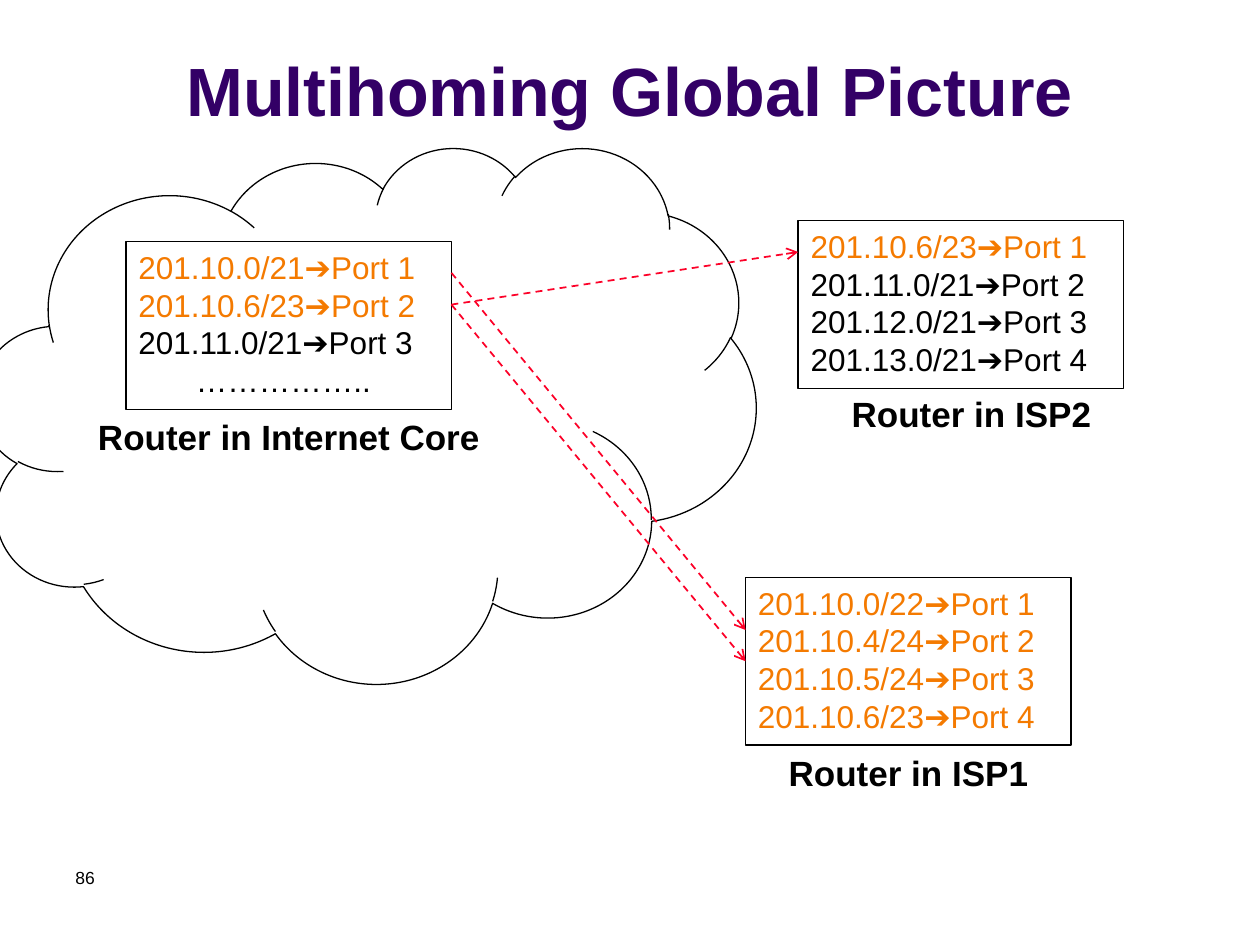
from typing import NamedTuple

from lxml.etree import SubElement
from pptx import Presentation
from pptx.dml.color import RGBColor
from pptx.enum.dml import MSO_LINE
from pptx.enum.shapes import MSO_CONNECTOR, MSO_SHAPE
from pptx.enum.text import MSO_ANCHOR as ANCHOR, PP_ALIGN as ALIGN
from pptx.oxml.ns import qn
from pptx.util import Cm, Pt

BLACK = RGBColor(0x00, 0x00, 0x00)
ORANGE = RGBColor(0xF4, 0x7A, 0x00)
PURPLE = RGBColor(0x33, 0x00, 0x66)
RED = RGBColor(0xFC, 0x01, 0x28)
BOX_W, BOX_H, TEXT_W = 6.56, 3.38, 6.35
LABEL_W, LABEL_H = 8.69, 1.12


class Router(NamedTuple):
    name: str
    left: float
    top: float
    label_left: float
    label_top: float
    routes: list[str]
    highlighted: int


class Arrow(NamedTuple):
    x1: float
    y1: float
    x2: float
    y2: float


CORE = Router("Router in Internet Core", 2.54, 4.87, 1.48, 8.26,
              ["201.10.0/21➔Port 1", "201.10.6/23➔Port 2",
               "201.11.0/21➔Port 3", "…………….."], 2)
ISP1 = Router("Router in ISP1", 15.03, 11.64, 13.97, 15.03,
              ["201.10.0/22➔Port 1", "201.10.4/24➔Port 2",
               "201.10.5/24➔Port 3", "201.10.6/23➔Port 4"], 4)
ISP2 = Router("Router in ISP2", 16.09, 4.45, 15.24, 7.78,
              ["201.10.6/23➔Port 1", "201.11.0/21➔Port 2",
               "201.12.0/21➔Port 3", "201.13.0/21➔Port 4"], 1)
CORE_RIGHT = CORE.left + BOX_W
ARROWS = [
    Arrow(CORE_RIGHT, 6.14, ISP1.left, 13.33),
    Arrow(CORE_RIGHT, 6.14, ISP2.left, 5.08),
    Arrow(CORE_RIGHT, 5.5, ISP1.left, 12.7),
]


def add_text(shapes, text: str, left: float, top: float, width: float, height: float,
             size: float, color: RGBColor = BLACK, bold: bool = False,
             align: ALIGN = ALIGN.LEFT, anchor: ANCHOR = ANCHOR.TOP):
    """Add a wrapped text box and return its text frame."""
    tf = shapes.add_textbox(Cm(left), Cm(top), Cm(width), Cm(height)).text_frame
    tf.word_wrap = True
    tf.vertical_anchor = anchor
    tf.text = text
    for p in tf.paragraphs:
        p.alignment = align
        for r in p.runs:
            r.font.name = "Arial"
            r.font.size = Pt(size)
            r.font.bold = bold
            r.font.color.rgb = color
    return tf


def add_outline(shapes, kind: MSO_SHAPE, left: float, top: float,
                width: float, height: float) -> None:
    """Add an unfilled shape with a thin black line."""
    sp = shapes.add_shape(kind, Cm(left), Cm(top), Cm(width), Cm(height))
    sp.shadow.inherit = False
    sp.fill.background()
    sp.line.color.rgb = BLACK
    sp.line.width = Pt(0.75)


def add_router(shapes, router: Router) -> None:
    """Draw a routing table in a frame, with its name below."""
    group = shapes.add_group_shape().shapes
    add_outline(group, MSO_SHAPE.RECTANGLE, router.left, router.top, BOX_W, BOX_H)
    tf = add_text(group, "\n".join(router.routes), router.left, router.top,
                  TEXT_W, BOX_H, 18)
    for p in tf.paragraphs[:router.highlighted]:
        p.runs[0].font.color.rgb = ORANGE
    for p in tf.paragraphs:
        if "➔" not in p.text:
            p.alignment = ALIGN.CENTER
    add_text(shapes, router.name, router.label_left, router.label_top,
             LABEL_W, LABEL_H, 20, bold=True, align=ALIGN.CENTER)


def add_arrow(shapes, arrow: Arrow) -> None:
    """Draw a dashed red arrow."""
    line = shapes.add_connector(MSO_CONNECTOR.STRAIGHT, *map(Cm, arrow))
    line.line.color.rgb = RED
    line.line.width = Pt(1)
    line.line.dash_style = MSO_LINE.DASH
    sp_pr = line.element.spPr
    SubElement(sp_pr.find(qn("a:ln")), qn("a:tailEnd"), type="arrow")
    SubElement(sp_pr, qn("a:effectLst"))


def main() -> None:
    """Build and save the slide."""
    prs = Presentation()
    prs.slide_width, prs.slide_height = Cm(25.4), Cm(19.05)
    shapes = prs.slides.add_slide(prs.slide_layouts[6]).shapes
    add_text(shapes, "Multihoming Global Picture", 0, 0.33, 25.4, 2.41, 39,
             PURPLE, True, ALIGN.CENTER, ANCHOR.BOTTOM)
    add_text(shapes, "86", 1.27, 17.35, 5.92, 1.27, 10)
    add_outline(shapes, MSO_SHAPE.CLOUD, -0.42, 2.96, 15.66, 10.8)
    for router in (CORE, ISP1, ISP2):
        add_router(shapes, router)
    for arrow in ARROWS:
        add_arrow(shapes, arrow)
    prs.save("out.pptx")


if __name__ == "__main__":
    main()
